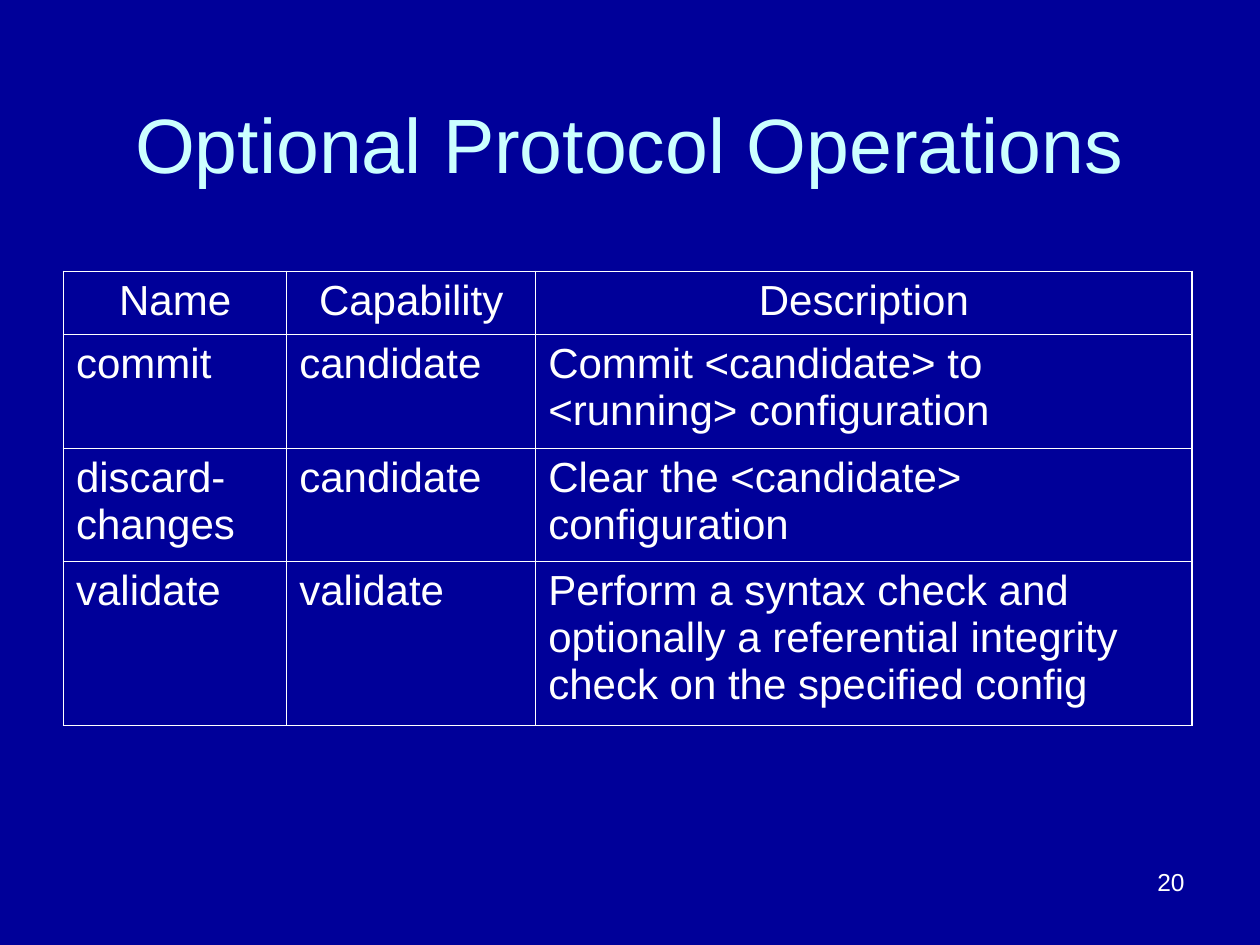
"""Build the slide on optional protocol operations."""
from lxml.etree import SubElement
from pptx import Presentation
from pptx.dml.color import RGBColor
from pptx.enum.text import MSO_ANCHOR, PP_ALIGN
from pptx.oxml.ns import qn
from pptx.util import Cm, Pt

NAVY = RGBColor(0x00, 0x00, 0x99)
PALE_CYAN = RGBColor(0xCC, 0xFF, 0xFF)
WHITE = RGBColor(0xFF, 0xFF, 0xFF)

TITLE = "Optional Protocol Operations"
PAGE = "20"
ROWS = [
    ("Name", "Capability", "Description"),
    ("commit", "candidate", "Commit <candidate> to <running> configuration"),
    ("discard-changes", "candidate", "Clear the <candidate> configuration"),
    ("validate", "validate",
     "Perform a syntax check and optionally a referential integrity "
     "check on the specified config"),
]
COL_WIDTHS = (4.5, 5.02, 13.23)
ROW_HEIGHTS = (1.27, 2.29, 2.29, 3.3)
THIN, THICK = Pt(0.45), Pt(1.08)


def write(tf, text, size=24, color=WHITE, align=PP_ALIGN.LEFT,
          anchor=MSO_ANCHOR.TOP):
    tf.word_wrap = True
    tf.vertical_anchor = anchor
    p = tf.paragraphs[0]
    p.alignment = align
    r = p.add_run()
    r.text = text
    r.font.name = "Arial"
    r.font.size = Pt(size)
    r.font.color.rgb = color


def set_borders(cell, outer):
    tc_pr = cell._tc.get_or_add_tcPr()
    for tag, is_outer in outer.items():
        ln = SubElement(tc_pr, qn(f"a:{tag}"), w=str(THICK if is_outer else THIN))
        fill = SubElement(ln, qn("a:solidFill"))
        SubElement(fill, qn("a:srgbClr"), val=str(WHITE))


def add_operations(s):
    last_row, last_col = len(ROWS) - 1, len(COL_WIDTHS) - 1
    table = s.shapes.add_table(
        len(ROWS), len(COL_WIDTHS), Cm(1.28), Cm(5.47),
        Cm(sum(COL_WIDTHS)), Cm(sum(ROW_HEIGHTS))).table
    table.first_row = table.horz_banding = False
    for col, width in zip(table.columns, COL_WIDTHS):
        col.width = Cm(width)
    for row, height in zip(table.rows, ROW_HEIGHTS):
        row.height = Cm(height)
    for i, texts in enumerate(ROWS):
        for j, text in enumerate(texts):
            cell = table.cell(i, j)
            write(cell.text_frame, text,
                  align=PP_ALIGN.LEFT if i else PP_ALIGN.CENTER)
            set_borders(cell, {"lnL": j == 0, "lnR": j == last_col,
                               "lnT": i == 0, "lnB": i == last_row})
            cell.fill.background()


def main():
    prs = Presentation()
    prs.slide_width, prs.slide_height = Cm(25.4), Cm(19.05)
    s = prs.slides.add_slide(prs.slide_layouts[6])
    s.background.fill.solid()
    s.background.fill.fore_color.rgb = NAVY
    title = s.shapes.add_textbox(Cm(1.27), Cm(0.76), Cm(22.86), Cm(3.18))
    write(title.text_frame, TITLE, size=44, color=PALE_CYAN,
          align=PP_ALIGN.CENTER, anchor=MSO_ANCHOR.BOTTOM)
    add_operations(s)
    page = s.shapes.add_textbox(Cm(18.21), Cm(17.35), Cm(5.92), Cm(1.32))
    write(page.text_frame, PAGE, size=14, align=PP_ALIGN.RIGHT)
    prs.save("out.pptx")


if __name__ == "__main__":
    main()
